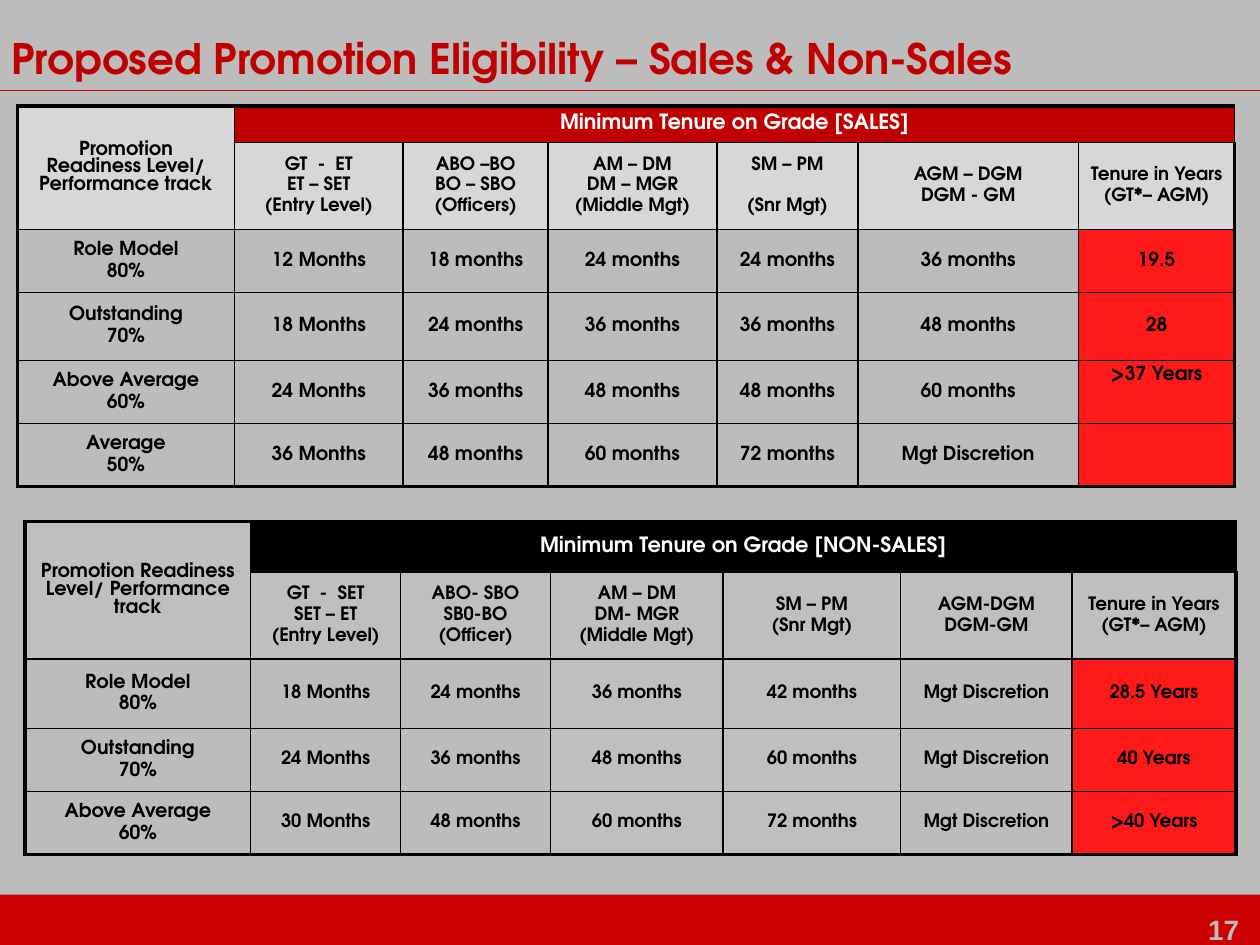
from lxml.etree import SubElement
from pptx import Presentation
from pptx.dml.color import RGBColor
from pptx.enum.shapes import MSO_CONNECTOR, MSO_SHAPE
from pptx.enum.text import MSO_ANCHOR, PP_ALIGN
from pptx.oxml.ns import qn
from pptx.util import Inches, Pt

COLORS = {
    "background": "BCBCBC", "bar": "CC0000", "title": "C00000", "light": "D7D7D7",
    "gray": "BFBFBF", "tenure": "FF1919", "black": "000000", "white": "FFFFFF",
}
FONT = "TeX Gyre Adventor"
TRACK = "Promotion Readiness Level/ Performance track"
TENURE = "Tenure in Years\n(GT*– AGM)"

SALES_ROWS = [
    [TRACK, "Minimum Tenure on Grade [SALES]"],
    ["", "GT  -  ET\nET – SET\n(Entry Level)", "ABO –BO\nBO – SBO\n(Officers)",
     "AM – DM\nDM – MGR\n(Middle Mgt)", "SM – PM\n\n(Snr Mgt)", "AGM – DGM\nDGM - GM", TENURE],
    ["Role Model\n80%", "12 Months", "18 months", "24 months", "24 months", "36 months", "19.5"],
    ["Outstanding\n70%", "18 Months", "24 months", "36 months", "36 months", "48 months", "28"],
    ["Above Average\n60%", "24 Months", "36 months", "48 months", "48 months", "60 months",
     ">37 Years"],
    ["Average\n50%", "36 Months", "48 months", "60 months", "72 months", "Mgt Discretion", ""],
]
NON_SALES_ROWS = [
    [TRACK, "Minimum Tenure on Grade [NON-SALES]"],
    ["", "GT  -  SET\nSET – ET\n(Entry Level)", "ABO- SBO\nSB0-BO\n(Officer)",
     "AM – DM\nDM- MGR\n(Middle Mgt)", "SM – PM\n(Snr Mgt)", "AGM-DGM\nDGM-GM", TENURE],
    ["Role Model\n80%", "18 Months", "24 months", "36 months", "42 months", "Mgt Discretion",
     "28.5 Years"],
    ["Outstanding\n70%", "24 Months", "36 months", "48 months", "60 months", "Mgt Discretion",
     "40 Years"],
    ["Above Average\n60%", "30 Months", "48 months", "60 months", "72 months", "Mgt Discretion",
     ">40 Years"],
]


def color(name):
    return RGBColor.from_string(COLORS[name])


class SlideBuilder:
    """Places elements on a grid of 100 columns by 75 rows."""

    def __init__(self, prs):
        self.unit = prs.slide_width / 100
        self.s = prs.slides.add_slide(prs.slide_layouts[5])
        fill = self.s.background.fill
        fill.solid()
        fill.fore_color.rgb = color("background")

    def grid(self, *values):
        return [round(v * self.unit) for v in values]

    def style(self, p, size, name, font=FONT):
        p.font.name, p.font.size, p.font.bold = font, Pt(size), True
        p.font.color.rgb = color(name)

    def title(self, text, *box):
        sp = self.s.shapes.title
        sp.left, sp.top, sp.width, sp.height = self.grid(*box)
        tf = sp.text_frame
        tf.text, tf.vertical_anchor = text, MSO_ANCHOR.MIDDLE
        p = tf.paragraphs[0]
        p.alignment, p.line_spacing = PP_ALIGN.LEFT, 0.85
        self.style(p, 24, "title")

    def bar(self, name, *box):
        sp = self.s.shapes.add_shape(MSO_SHAPE.RECTANGLE, *self.grid(*box))
        sp.shadow.inherit = False
        sp.fill.solid()
        sp.fill.fore_color.rgb = color(name)
        sp.line.fill.background()

    def rule(self, name, *ends):
        line = self.s.shapes.add_connector(MSO_CONNECTOR.STRAIGHT, *self.grid(*ends))
        line.line.color.rgb, line.line.width = color(name), Pt(0.75)
        SubElement(line._element.spPr, qn("a:effectLst"))

    def page_number(self, text, *box):
        tf = self.s.shapes.add_textbox(*self.grid(*box)).text_frame
        tf.word_wrap, tf.text = True, text
        self.style(tf.paragraphs[0], 16, "background", "Arial")

    def borders(self, cell, widths):
        """Draw left, right, top and bottom borders, widths in points."""
        tc_pr = cell._tc.get_or_add_tcPr()
        for side, width in zip("LRTB", widths):
            ln = SubElement(tc_pr, qn(f"a:ln{side}"), w=str(Pt(width)))
            fill = SubElement(ln, qn("a:solidFill"))
            SubElement(fill, qn("a:srgbClr"), val=COLORS["black"])

    def cell_text(self, cell, text, size, name):
        """Write centred lines; an empty line widens the gap above the next one."""
        cell.vertical_anchor = MSO_ANCHOR.MIDDLE
        lines = text.replace("\n\n", "\n\t").split("\n")
        cell.text = "\n".join(line.strip("\t") for line in lines)
        pitch, gap = 0.93 * size, 0.2 * size
        for p, line in zip(cell.text_frame.paragraphs, lines):
            p.alignment, p.line_spacing = PP_ALIGN.CENTER, Pt(pitch)
            p.space_before = Pt(gap + (pitch + gap if line.startswith("\t") else 0))
            self.style(p, size, name)

    def table(self, left, top, widths, heights, rows, banner, header, body_size, shaded=()):
        n_rows, n_cols = len(heights), len(widths)
        box = self.grid(left, top, sum(widths), sum(heights))
        table = self.s.shapes.add_table(n_rows, n_cols, *box).table
        table.first_row = table.horz_banding = False
        for lines, attr, sizes in ((table.columns, "width", widths), (table.rows, "height", heights)):
            for line, size in zip(lines, self.grid(*sizes)):
                setattr(line, attr, size)
        table.cell(0, 0).merge(table.cell(1, 0))
        table.cell(0, 1).merge(table.cell(0, n_cols - 1))

        for r in range(n_rows):
            for c in range(n_cols):
                cell = table.cell(r, c)
                outer = (c == 0, c == n_cols - 1, r == 0, r == n_rows - 1)
                self.borders(cell, [2.25 if edge else 1 for edge in outer])
                if r == 0 and c:
                    fill, size = banner, 12
                elif r < 2:
                    fill, size = header, 10.5 if c else 11
                else:
                    fill = "tenure" if c == n_cols - 1 else header if c in shaded else None
                    size = body_size if c else 11
                if fill:
                    cell.fill.solid()
                    cell.fill.fore_color.rgb = color(fill)
                else:
                    cell.fill.background()
                if cell.is_spanned:
                    continue
                if c:
                    cell.margin_left = cell.margin_right = Inches(0.05)
                self.cell_text(cell, rows[r][c], size, "white" if r == 0 and c else "black")
        return table


def main():
    prs = Presentation()
    prs.slide_width, prs.slide_height = Inches(10), Inches(7.5)
    b = SlideBuilder(prs)
    b.bar("bar", 0, 71, 100, 4)
    b.page_number("17", 94.9, 71.9, 5.1, 3.7)
    b.rule("bar", 0, 7.2, 100, 7.2)
    b.title("Proposed Promotion Eligibility – Sales & Non-Sales", -0.1, 2.7, 86.3, 4.4)
    sales = b.table(1.4, 8.4, [17.2, 13.4, 11.5, 13.4, 11.2, 17.5, 12.4],
                    [2.9, 6.9, 5, 5.4, 5, 5], SALES_ROWS, "title", "light", 11)
    sales.cell(4, 6).vertical_anchor = MSO_ANCHOR.TOP
    b.table(2, 41.4, [17.9, 11.9, 11.9, 13.7, 14.1, 13.6, 13],
            [4, 6.9, 5.5, 5, 5], NON_SALES_ROWS, "black", "gray", 10.5, shaded=(3, 4))
    prs.save("out.pptx")


if __name__ == "__main__":
    main()
